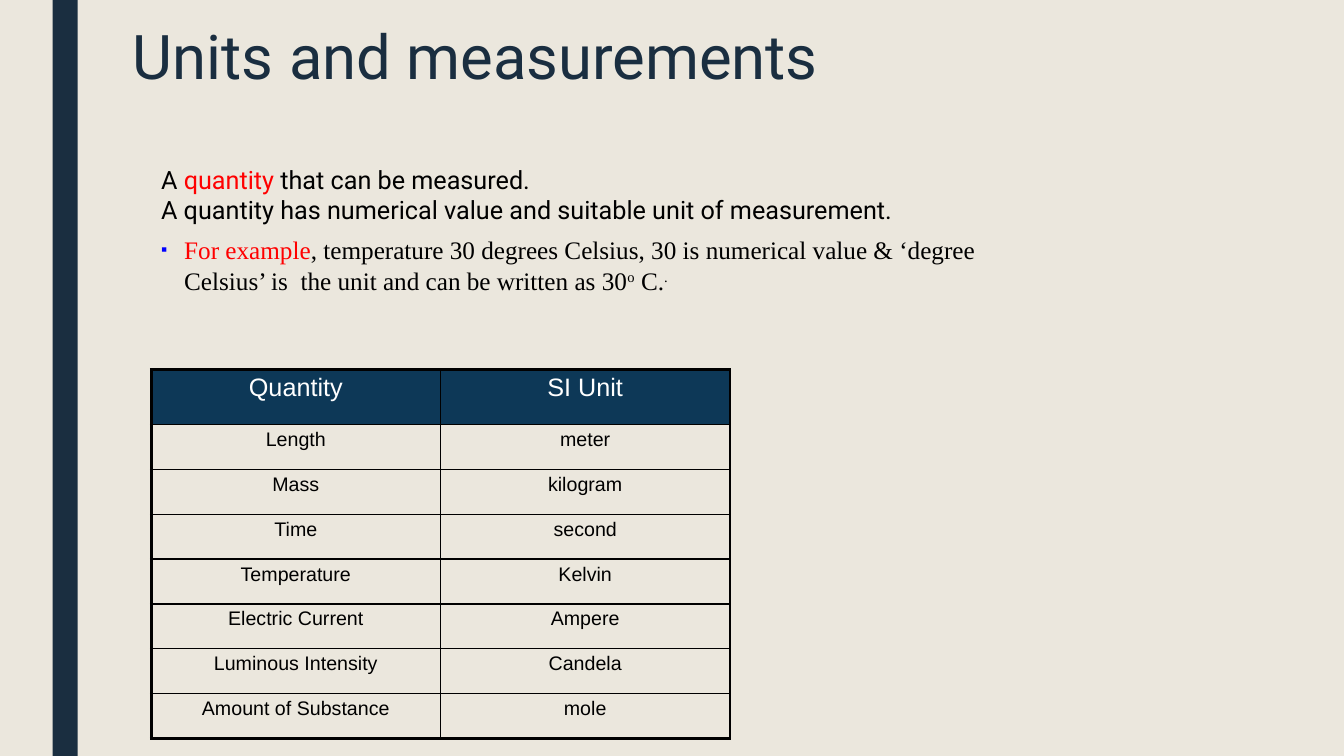
from dataclasses import dataclass

from lxml import etree
from pptx import Presentation
from pptx.dml.color import RGBColor
from pptx.enum import shapes, text
from pptx.oxml import ns
from pptx.util import Pt

INK = {
    "paper": "EBE7DD",
    "navy": "1A2E40",
    "head": "0D3857",
    "black": "000000",
    "white": "FFFFFF",
    "red": "FF0000",
    "blue": "0000FF",
}


@dataclass
class Run:
    words: str
    ink: str = "black"
    base: int = 0


@dataclass
class Box:
    left: float
    top: float
    width: float
    height: float
    inset: tuple[float, float] = (7.2, 5)


def color(name: str) -> RGBColor:
    return RGBColor.from_string(INK[name])


def sub(parent, tag: str, **attrs):
    return etree.SubElement(parent, ns.qn(tag), **attrs)


def write(frame, lines: list[list[Run]], *, font: str, size: float,
          align=text.PP_ALIGN.LEFT, space: float = 1, bullet: str = "") -> None:
    """Fill a text frame, one list of runs per paragraph."""
    for i, runs in enumerate(lines):
        para = frame.paragraphs[0] if i == 0 else frame.add_paragraph()
        para.alignment = align
        if space != 1:
            para.line_spacing = space
        if bullet:
            props = para._p.get_or_add_pPr()
            props.set("marL", str(Pt(16.5)))
            props.set("indent", str(-Pt(16.5)))
            sub(sub(props, "a:buClr"), "a:srgbClr", val=INK["blue"])
            sub(props, "a:buSzPct", val="70000")
            sub(props, "a:buFont", typeface="Arial")
            sub(props, "a:buChar", char=bullet)
        for item in runs:
            run = para.add_run()
            run.text = item.words
            run.font.name, run.font.size = font, Pt(size)
            run.font.color.rgb = color(item.ink)
            if item.base:
                run.font._element.set("baseline", str(item.base * 1000))


def label(slide, box: Box, lines: list[list[Run]], **style) -> None:
    shape = slide.shapes.add_textbox(
        Pt(box.left), Pt(box.top), Pt(box.width), Pt(box.height))
    frame = shape.text_frame
    frame.word_wrap = True
    frame.margin_left, frame.margin_top = map(Pt, box.inset)
    write(frame, lines, **style)


def border(cell, widths: dict[str, float]) -> None:
    props = cell._tc.get_or_add_tcPr()
    for i, (side, width) in enumerate(widths.items()):
        line = etree.Element(ns.qn(f"a:ln{side}"), w=str(Pt(width)))
        sub(sub(line, "a:solidFill"), "a:srgbClr", val=INK["black"])
        props.insert(i, line)


def grid(slide, box: Box, rows: list[tuple[str, str]], head: float) -> None:
    table = slide.shapes.add_table(
        len(rows), 2, Pt(box.left), Pt(box.top),
        Pt(box.width), Pt(box.height)).table
    table.first_row = table.horz_banding = False
    for col in table.columns:
        col.width = Pt(box.width / 2)
    last = len(rows) - 1
    for r, row in enumerate(rows):
        table.rows[r].height = Pt(
            head if r == 0 else (box.height - head) / last)
        for c, words in enumerate(row):
            cell = table.cell(r, c)
            cell.margin_left = cell.margin_right = Pt(box.inset[0])
            cell.margin_top = cell.margin_bottom = Pt(box.inset[1])
            if r == 0:
                cell.fill.solid()
                cell.fill.fore_color.rgb = color("head")
            else:
                cell.fill.background()
            # Thick outer frame, thin inner rules
            edges = {"L": c == 0, "R": c == 1, "T": r == 0, "B": r == last}
            border(cell, {k: 2.25 if out else 1 for k, out in edges.items()})
            write(cell.text_frame, [[Run(words, "black" if r else "white")]],
                  font="Arial", size=14 if r else 18,
                  align=text.PP_ALIGN.CENTER)


def main() -> None:
    deck = Presentation()
    deck.slide_width, deck.slide_height = Pt(960), Pt(540)
    slide = deck.slides.add_slide(deck.slide_layouts[6])
    slide.background.fill.solid()
    slide.background.fill.fore_color.rgb = color("paper")

    # Side band
    band = slide.shapes.add_shape(
        shapes.MSO_SHAPE.RECTANGLE, Pt(37.5), 0, Pt(18), Pt(540))
    band.shadow.inherit = False
    band.fill.solid()
    band.fill.fore_color.rgb = color("navy")
    band.line.fill.background()

    # Title
    label(slide, Box(80, 13, 756, 116.6, (15, 6)),
          [[Run("Units and measurements", "navy")]],
          font="Roboto", size=44, space=0.89)

    # Definition
    label(slide, Box(108, 112.3, 806.4, 51),
          [[Run("A "), Run("quantity", "red"), Run(" that can be measured.")],
           [Run("A quantity has numerical value and suitable unit "
                "of measurement.")]],
          font="Roboto", size=18)

    # Table of units
    grid(slide, Box(108, 264.2, 413.4, 263.5, (5, 3)), [
        ("Quantity", "SI Unit"),
        ("Length", "meter"),
        ("Mass", "kilogram"),
        ("Time", "second"),
        ("Temperature", "Kelvin"),
        ("Electric Current", "Ampere"),
        ("Luminous Intensity", "Candela"),
        ("Amount of Substance", "mole"),
    ], head=39)

    # Example
    label(slide, Box(108, 162.7, 646.6, 51),
          [[Run("For example", "red"),
            Run(", temperature 30 degrees Celsius, 30 is numerical value "
                "& ‘degree Celsius’ is  the unit and can be written as 30"),
            Run("o", base=30), Run(" C."), Run(".", base=30)]],
          font="Times New Roman", size=18, bullet="▪")

    deck.save("out.pptx")


if __name__ == "__main__":
    main()
